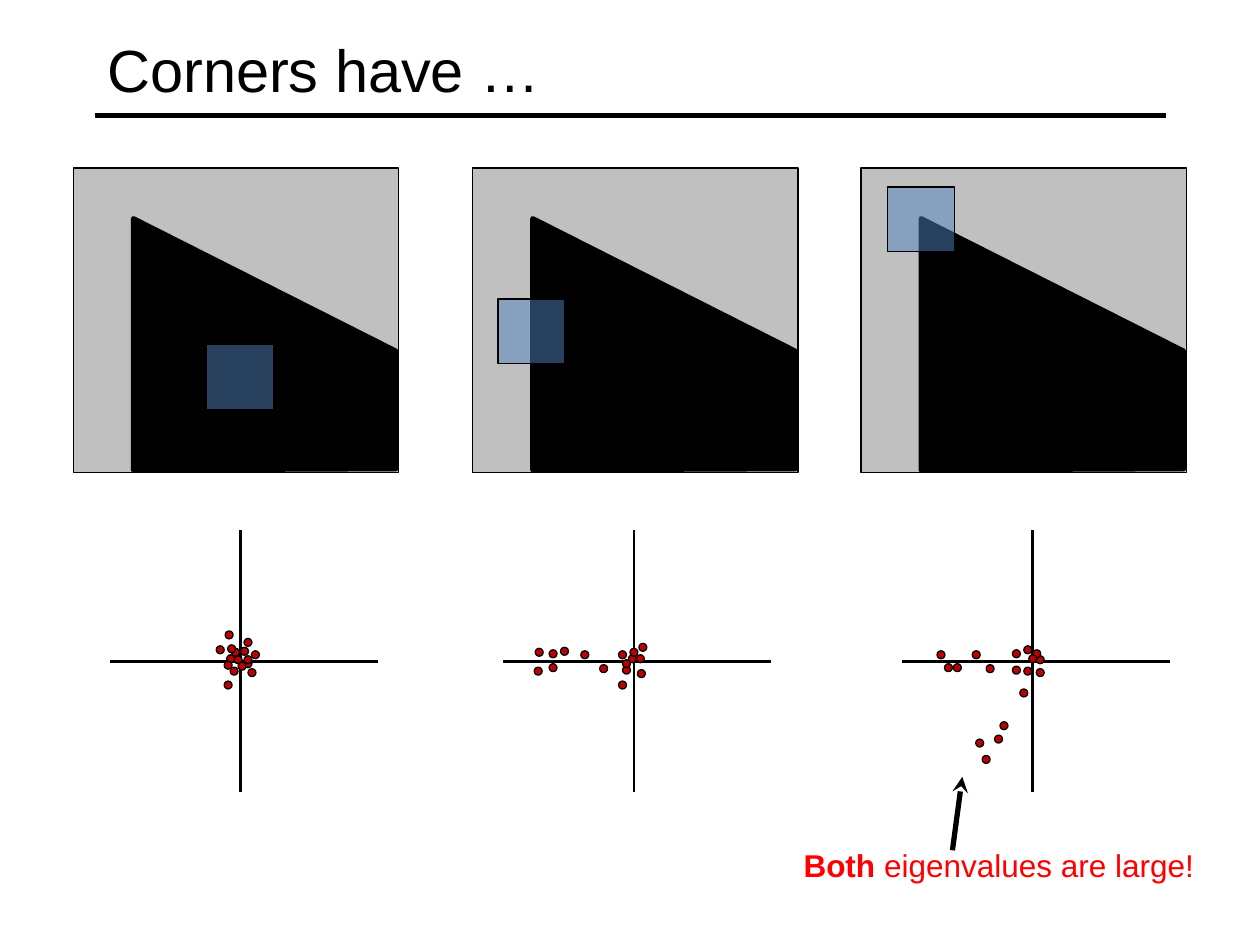
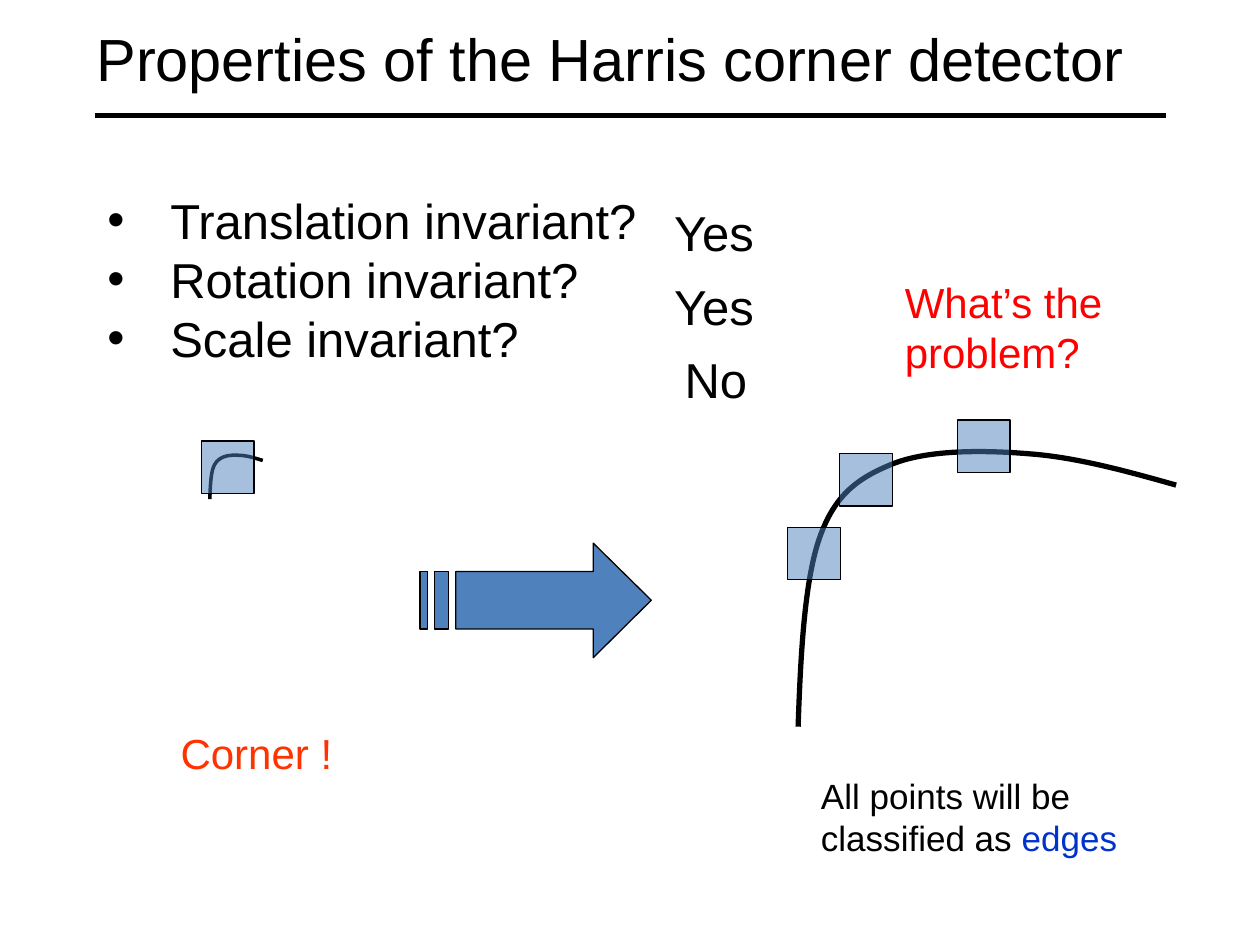
from dataclasses import dataclass
from typing import NamedTuple

from lxml.etree import SubElement
from pptx import Presentation
from pptx.dml.color import RGBColor
from pptx.enum.shapes import MSO_CONNECTOR, MSO_SHAPE
from pptx.enum.text import MSO_ANCHOR, MSO_AUTO_SIZE, PP_ALIGN
from pptx.oxml.ns import qn
from pptx.util import Cm, Pt

COLORS = {
    "black": "000000", "grey": "C0C0C0", "blue": "4F81BD", "dot": "C00000",
    "red": "FF0000", "orange": "FF3300", "edge": "0033CC",
}
FONT = "Arial"
TITLE_ONLY, TITLE_AND_BODY = 5, 1
Point = tuple[float, float]


# All positions and sizes below are in centimetres.
class Frame(NamedTuple):
    left: float
    top: float
    width: float
    height: float


class Span(NamedTuple):
    text: str
    color: str = "black"
    bold: bool = False


@dataclass
class Note:
    frame: Frame
    size: float
    spans: tuple[Span, ...]


@dataclass
class Panel:
    """A grey image with its sliding window, and the gradient plot below it."""
    left: float
    window: Point
    axis_x: float
    dots: tuple[Point, ...]


# Gradient plots: dots are offsets from the crossing of the axes
PANEL_TOP, PANEL_WIDTH, PANEL_HEIGHT = 3.39, 6.56, 6.14
WEDGE = ((1.21, 6.08), (1.21, 1.02), (6.5, 3.69), (6.5, 6.06))
AXIS_Y, AXIS_REACH, DOT_SIZE = 13.33, 2.64, 0.16
PANELS = (
    Panel(1.48, (2.68, 3.56), 4.85, (
        (-.1, -.18), (.08, -.2), (.23, .23), (.3, -.13), (-.05, -.03), (-.25, .48),
        (-.23, -.53), (-.18, -.25), (.15, .05), (.15, -.38), (-.2, -.05), (.03, .1),
        (-.13, .2), (-.41, -.23), (-.25, .08), (.15, -.03))),
    Panel(9.53, (.51, 2.64), 12.78, (
        (-1.63, -.15), (-.15, .18), (.15, .25), (-.15, .05), (-.61, .15), (-.23, .48),
        (-1.91, -.18), (.13, -.05), (.18, -.28), (-.23, -.13), (-1.63, .13), (-.03, -.05),
        (-.99, -.13), (-1.4, -.2), (0, -.18), (-1.93, .2))),
    Panel(17.36, (.53, .38), 20.82, (
        (.15, -.03), (-.69, 1.57), (-.58, 1.3), (-.1, .2), (-.86, .15), (-.33, .18),
        (-.1, -.23), (-.33, -.15), (-.18, .64), (.08, -.15), (-1.7, .13), (-.94, 1.98),
        (0, -.05), (-1.07, 1.65), (.15, .23), (-1.14, -.13), (-1.85, -.13), (-1.52, .13))),
)
LARGE_NOTE = Note(Frame(15.95, 16.94, 9.09, 1.02), 18,
                  (Span("Both", "red", True), Span(" eigenvalues are large!", "red")))

# Harris properties: one corner curve, drawn at two scales
CURVE = ((0, 5.58), (.05, 4.11), (.13, 2.64), (.43, 1.78), (.74, .89), (1.22, .56),
         (1.91, .28), (2.62, 0), (3.71, 0), (4.67, .08), (5.61, .15), (6.63, .43), (7.62, .71))
WINDOW_SIDE = 1.06
EDGE_WINDOWS = ((15.88, 10.63), (16.93, 9.14), (19.3, 8.47))
CORNER_WINDOW = (4.06, 8.89)
SHAFT_TOP, SHAFT_BOTTOM = 11.52, 12.68
ARROW_HEAD = ((11.96, 10.95), (11.96, SHAFT_TOP), (9.19, SHAFT_TOP), (9.19, SHAFT_BOTTOM),
              (11.96, SHAFT_BOTTOM), (11.96, 13.26), (13.13, 12.1))
ARROW_STRIPES = ((8.76, 9.04), (8.47, 8.62))
QUESTIONS = ("Translation invariant?", "Rotation invariant?", "Scale invariant?")
PROPERTY_NOTES = (
    Note(Frame(13.34, 3.96, 2.74, 1.45), 28, (Span("Yes"),)),
    Note(Frame(13.34, 5.44, 2.74, 1.45), 28, (Span("Yes"),)),
    Note(Frame(13.55, 6.93, 5.28, 1.45), 28, (Span("No"),)),
    Note(Frame(17.99, 5.44, 4.55, 2.31), 24, (Span("What’s the\nproblem?", "red"),)),
    Note(Frame(3.39, 14.55, 3.81, 1.27), 24, (Span("Corner !", "orange"),)),
    Note(Frame(16.3, 15.49, 7.19, 1.96), 20,
         (Span("All points will be classified as "), Span("edges", "edge"))),
)


# Shared drawing helpers
def rgb(name: str) -> RGBColor:
    return RGBColor.from_string(COLORS[name])


def place(shape, frame: Frame) -> None:
    shape.left, shape.top, shape.width, shape.height = map(Cm, frame)


def style_font(font, size: float, color: str = "black", bold: bool = False) -> None:
    font.name, font.size, font.bold = FONT, Pt(size), bold
    font.color.rgb = rgb(color)


def paint(shape, fill: str | None, line_width: float) -> None:
    shape.shadow.inherit = False
    if fill:
        shape.fill.solid()
        shape.fill.fore_color.rgb = rgb(fill)
    else:
        shape.fill.background()
    shape.line.color.rgb = rgb("black")
    shape.line.width = Pt(line_width)


def add_preset(page, kind: MSO_SHAPE, frame: Frame, fill: str):
    shape = page.shapes.add_shape(kind, *map(Cm, frame))
    paint(shape, fill, 0.75)
    return shape


def add_window(page, frame: Frame) -> None:
    window = add_preset(page, MSO_SHAPE.RECTANGLE, frame, "blue")
    color = window.element.spPr.find(qn("a:solidFill"))[0]
    SubElement(color, qn("a:alpha"), val="50000")


def add_line(page, start: Point, end: Point, width: float, arrow: bool = False):
    line = page.shapes.add_connector(MSO_CONNECTOR.STRAIGHT, *map(Cm, start + end))
    line.line.color.rgb = rgb("black")
    line.line.width = Pt(width)
    if arrow:
        outline = line.element.spPr.find(qn("a:ln"))
        SubElement(outline, qn("a:tailEnd"), type="stealth")
    SubElement(line.element.spPr, qn("a:effectLst"))
    return line


def add_outline(page, contours, fill: str | None, line_width: float):
    """Draw one freeform; contours are closed when it has a fill."""
    outlines = [[(Cm(x), Cm(y)) for x, y in contour] for contour in contours]
    builder = page.shapes.build_freeform(*outlines[0][0])
    for number, points in enumerate(outlines):
        if number:
            builder.move_to(*points[0])
        builder.add_line_segments(points[1:], close=bool(fill))
    shape = builder.convert_to_shape()
    paint(shape, fill, line_width)
    return shape


def add_note(page, note: Note) -> None:
    box = page.shapes.add_textbox(*map(Cm, note.frame))
    box.text_frame.word_wrap = True
    box.text_frame.text = note.spans[0].text
    for para in box.text_frame.paragraphs:
        for span in para.runs:
            style_font(span.font, note.size, *note.spans[0][1:])
    for extra in note.spans[1:]:
        span = box.text_frame.paragraphs[-1].add_run()
        span.text = extra.text
        style_font(span.font, note.size, *extra[1:])


def add_page(deck, layout: int, title: str, title_frame: Frame):
    page = deck.slides.add_slide(deck.slide_layouts[layout])
    heading = page.shapes.title
    place(heading, title_frame)
    frame = heading.text_frame
    frame.text = title
    frame.auto_size, frame.vertical_anchor = MSO_AUTO_SIZE.NONE, MSO_ANCHOR.MIDDLE
    frame.paragraphs[0].alignment = PP_ALIGN.LEFT
    style_font(frame.paragraphs[0].runs[0].font, 34)
    return page


def move_to_master(deck, shape) -> None:
    deck.slide_master.element.cSld.spTree.append(shape.element)


# Slide 1
def add_panel(page, panel: Panel) -> None:
    add_preset(page, MSO_SHAPE.RECTANGLE,
               Frame(panel.left, PANEL_TOP, PANEL_WIDTH, PANEL_HEIGHT), "grey")
    add_outline(page, [[(panel.left + x, PANEL_TOP + y) for x, y in WEDGE]], "black", 3)
    x, y = panel.window
    add_window(page, Frame(panel.left + x, PANEL_TOP + y, 1.35, 1.3))


def add_plot(page, panel: Panel) -> None:
    center = panel.axis_x
    add_line(page, (center, AXIS_Y - AXIS_REACH), (center, AXIS_Y + AXIS_REACH), 1.5)
    add_line(page, (center - 2.63, AXIS_Y), (center + 2.77, AXIS_Y), 1.5)
    for x, y in panel.dots:
        add_preset(page, MSO_SHAPE.OVAL,
                   Frame(center + x - DOT_SIZE / 2, AXIS_Y + y - DOT_SIZE / 2,
                         DOT_SIZE, DOT_SIZE), "dot")


def build_corners(deck) -> None:
    page = add_page(deck, TITLE_ONLY, "Corners have …", Frame(1.91, 0.21, 21.59, 2.34))
    # The rule under the title belongs to every slide
    move_to_master(deck, add_line(page, (1.91, 2.33), (23.5, 2.33), 3))
    for panel in PANELS:
        add_panel(page, panel)
        add_plot(page, panel)
    add_note(page, LARGE_NOTE)
    add_line(page, (19.2, 17.14), (19.4, 15.66), 3, arrow=True)


# Slide 2
def add_curve(page, origin: Point, scale: Point, line_width: float) -> None:
    moved = [(origin[0] + x * scale[0], origin[1] + y * scale[1]) for x, y in CURVE]
    shape = add_outline(page, [moved], None, line_width)
    # Join each three straight segments into one cubic curve
    segments = list(shape.element.iter(qn("a:lnTo")))
    for first in range(0, len(segments), 3):
        curve, *others = segments[first:first + 3]
        curve.tag = qn("a:cubicBezTo")
        for segment in others:
            curve.append(segment[0])
            segment.getparent().remove(segment)


def fill_questions(body) -> None:
    place(body, Frame(1.91, 3.71, 21.59, 6.35))
    body.text_frame.text = "\n".join(QUESTIONS)
    body.text_frame.auto_size = MSO_AUTO_SIZE.NONE
    for para in body.text_frame.paragraphs:
        para.space_before = Pt(0)
        properties = para._p.get_or_add_pPr()
        properties.set("marL", str(Cm(1.27)))
        properties.set("indent", str(-Cm(1.27)))
        SubElement(properties, qn("a:buFont"), typeface=FONT)
        SubElement(properties, qn("a:buChar"), char="•")
        style_font(para.runs[0].font, 28)


def build_properties(deck) -> None:
    page = add_page(deck, TITLE_AND_BODY, "Properties of the Harris corner detector",
                    Frame(1.69, -0.42, 22.86, 3.18))
    fill_questions(page.placeholders[1])
    add_curve(page, (16.09, 9.07), (1, 1), 3)
    add_curve(page, (4.23, 9.17), (0.14, 0.16), 2)
    for x, y in (*EDGE_WINDOWS, CORNER_WINDOW):
        add_window(page, Frame(x, y, WINDOW_SIDE, WINDOW_SIDE))
    stripes = [((left, SHAFT_TOP), (left, SHAFT_BOTTOM), (right, SHAFT_BOTTOM),
                (right, SHAFT_TOP)) for left, right in ARROW_STRIPES]
    add_outline(page, [ARROW_HEAD, *stripes], "blue", 0.75)
    for note in PROPERTY_NOTES:
        add_note(page, note)


def main() -> None:
    deck = Presentation()
    deck.slide_width, deck.slide_height = Cm(25.4), Cm(19.05)
    build_corners(deck)
    build_properties(deck)
    deck.save("out.pptx")


if __name__ == "__main__":
    main()
